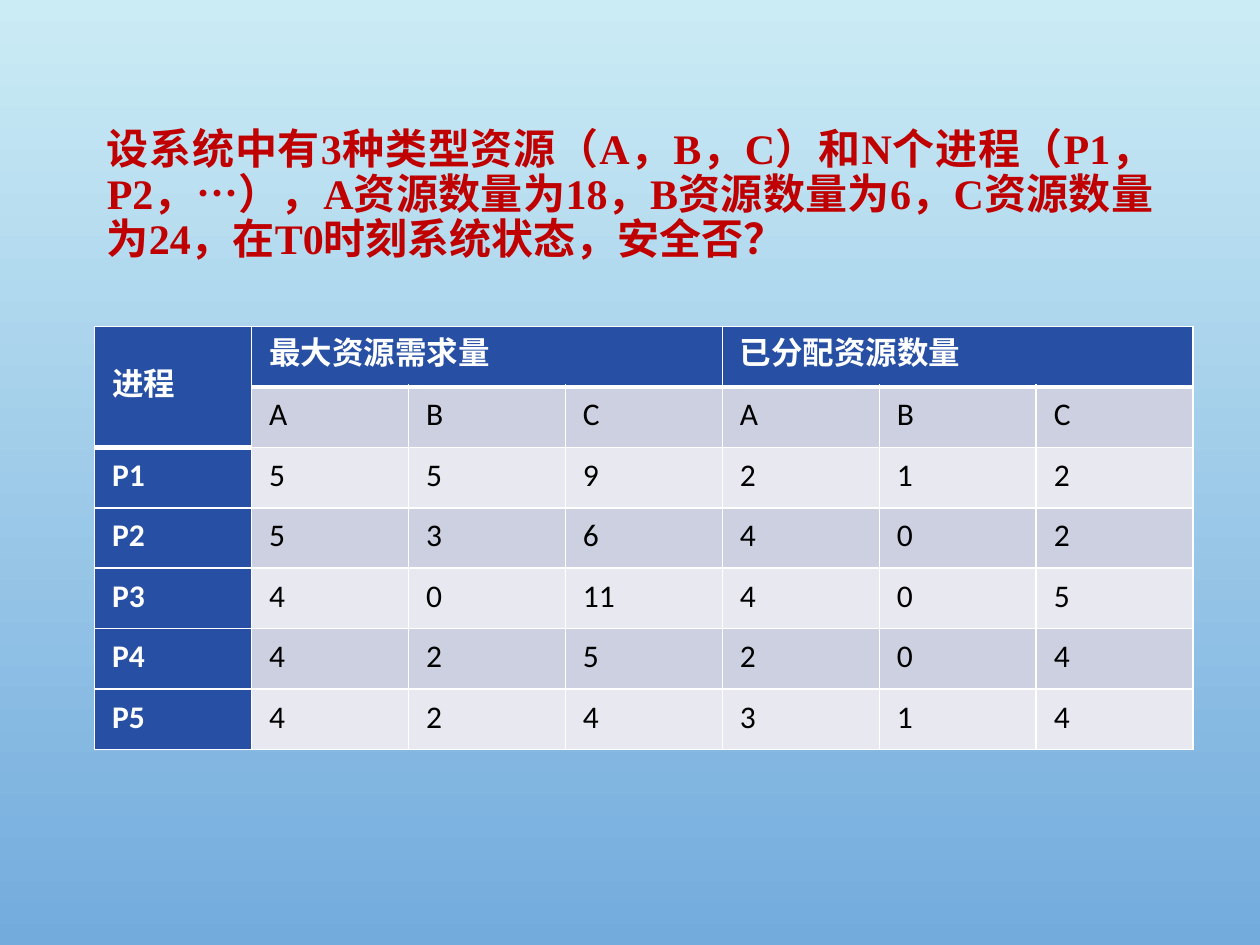
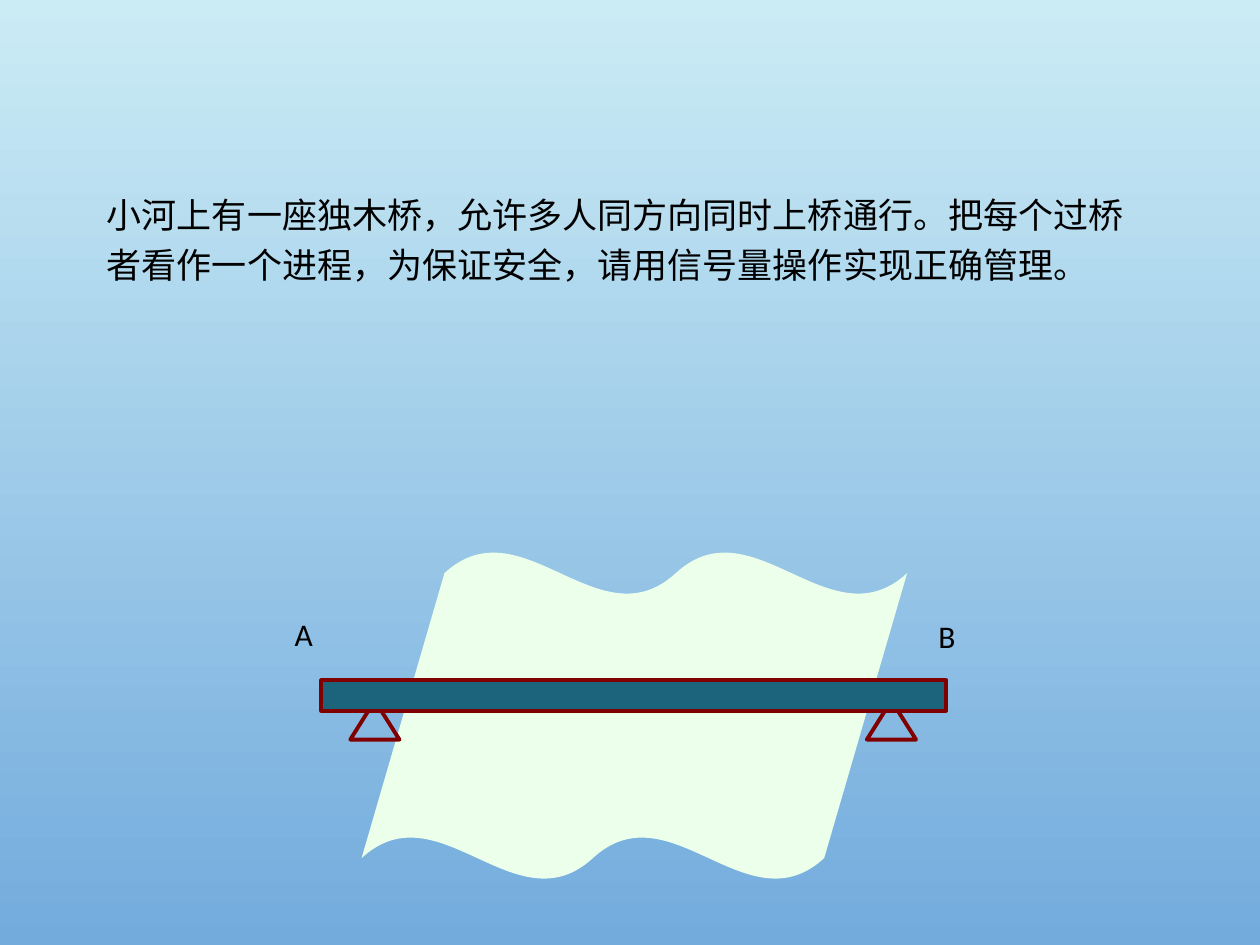
"""Build two slides on deadlock safety and a one-way bridge."""
from dataclasses import dataclass

import lxml.etree
import pptx
import pptx.dml.color
import pptx.enum.lang
import pptx.enum.shapes
import pptx.enum.text
import pptx.oxml.ns
import pptx.presentation
import pptx.slide
import pptx.table
import pptx.text.text
import pptx.util
from pptx.util import Inches

SKY, DEEP = "CBECF5", "73ABDD"
RED, BLACK, WHITE = "C00000", "000000", "FFFFFF"
BLUE, DARK, LIGHT = "274FA4", "CDD0E0", "E8E9F0"
WOOD, EDGE, WATER = "1C647B", "800000", "EBFFEB"
SANS, SERIF = "Calibri", "Times New Roman"
KIND = pptx.enum.shapes.MSO_SHAPE
ALIGN = pptx.enum.text.PP_ALIGN
ANCHOR = pptx.enum.text.MSO_ANCHOR
FIT = pptx.enum.text.MSO_AUTO_SIZE

TASK = ("设系统中有3种类型资源（A，B，C）和N个进程（P1，P2，…），A资源数量为18，"
        "B资源数量为6，C资源数量为24，在T0时刻系统状态，安全否？")
STORY = ("小河上有一座独木桥，允许多人同方向同时上桥通行。把每个过桥者看作一个进程，"
         "为保证安全，请用信号量操作实现正确管理。")
ROWS = [
    ["进程", "最大资源需求量", "", "", "已分配资源数量", "", ""],
    ["", *"ABCABC"],
    ["P1", "5", "5", "9", "2", "1", "2"],
    ["P2", "5", "3", "6", "4", "0", "2"],
    ["P3", "4", "0", "11", "4", "0", "5"],
    ["P4", "4", "2", "5", "2", "0", "4"],
    ["P5", "4", "2", "4", "3", "1", "4"],
]


@dataclass(frozen=True)
class Box:
    """Place and size in inches."""
    left: float
    top: float
    wide: float
    high: float

    def sides(self) -> list[int]:
        """Return the four lengths for a new shape."""
        return [Inches(n) for n in (self.left, self.top, self.wide, self.high)]


@dataclass(frozen=True)
class Style:
    """Look of a run of text."""
    size: float
    tint: str = BLACK
    bold: bool = False
    face: str = SANS


@dataclass(frozen=True)
class Part:
    """One shape of the bridge scene."""
    kind: KIND
    box: Box
    fill: str = ""
    line: str = ""
    bends: tuple[float, ...] = ()


@dataclass(frozen=True)
class Label:
    """A short mark at one bank."""
    text: str
    box: Box


PARTS = [
    Part(KIND.DOUBLE_WAVE, Box(2.87, 4.38, 4.33, 2.6), WATER, bends=(0.065, -0.076)),
    *(Part(KIND.ISOSCELES_TRIANGLE, Box(x, 5.56, 0.39, 0.31), line=EDGE) for x in (2.78, 6.88)),
    Part(KIND.RECTANGLE, Box(2.55, 5.4, 4.96, 0.24), WOOD, EDGE),
]
BANKS = [Label("A", Box(2.24, 4.83, 0.46, 0.57)), Label("B", Box(7.35, 4.85, 0.44, 0.57))]


def paint(code: str) -> pptx.dml.color.RGBColor:
    """Turn a hex string into a colour."""
    return pptx.dml.color.RGBColor.from_string(code)


def new_slide(deck: pptx.presentation.Presentation) -> pptx.slide.Slide:
    """Add a blank slide with the shared sky."""
    slide = deck.slides.add_slide(deck.slide_layouts[6])
    fill = slide.background.fill
    fill.gradient()
    fill.gradient_angle = 270
    for stop, code, spot in zip(fill.gradient_stops, (SKY, DEEP), (0, 1)):
        stop.color.rgb = paint(code)
        stop.position = spot
    return slide


def write(frame: pptx.text.text.TextFrame, text: str, style: Style) -> pptx.text.text._Paragraph:
    """Write one run and return its paragraph."""
    para = frame.paragraphs[0]
    run = para.add_run()
    run.text = text
    font = run.font
    font.size, font.bold, font.name = pptx.util.Pt(style.size), style.bold, style.face
    font.color.rgb = paint(style.tint)
    font.language_id = pptx.enum.lang.MSO_LANGUAGE_ID.SIMPLIFIED_CHINESE
    return para


def add_text(slide: pptx.slide.Slide, box: Box, text: str, style: Style, space: float) -> pptx.text.text.TextFrame:
    """Add a wrapped text box."""
    frame = slide.shapes.add_textbox(*box.sides()).text_frame
    frame.word_wrap = True
    write(frame, text, style).line_spacing = space
    return frame


def add_mark(slide: pptx.slide.Slide, label: Label) -> None:
    """Add the name of a bank."""
    frame = add_text(slide, label.box, label.text, Style(18), 1.0)
    frame.word_wrap = False
    frame.auto_size = FIT.SHAPE_TO_FIT_TEXT
    frame.margin_bottom = Inches(0.09)


def add_part(slide: pptx.slide.Slide, part: Part) -> None:
    """Draw one shape of the scene."""
    shape = slide.shapes.add_shape(part.kind, *part.box.sides())
    shape.shadow.inherit = False
    for spot, bend in enumerate(part.bends):
        shape.adjustments[spot] = bend
    for fill, code in ((shape.fill, part.fill), (shape.line.fill, part.line)):
        if code:
            fill.solid()
            fill.fore_color.rgb = paint(code)
        else:
            fill.background()
    if part.line:
        shape.line.width = pptx.util.Pt(2.25)


def rule(cell: pptx.table._Cell, side: str, width: float) -> None:
    """Draw a white border on one side of a cell."""
    name = pptx.oxml.ns.qn
    size = str(int(pptx.util.Pt(width)))
    line = lxml.etree.SubElement(cell._tc.get_or_add_tcPr(), name(f"a:ln{side}"), w=size)
    fill = lxml.etree.SubElement(line, name("a:solidFill"))
    lxml.etree.SubElement(fill, name("a:srgbClr"), val=WHITE)


def add_cell(cell: pptx.table._Cell, row: int, col: int, text: str) -> None:
    """Dress one cell by its place in the grid."""
    head = row == 0 or col == 0
    edge = 1 if col else 2
    for side, width in (("L", 1), ("R", 1), ("T", 3 if row == edge else 1),
                        ("B", 3 if row + cell.span_height == edge else 1)):
        rule(cell, side, width)
    cell.fill.solid()
    cell.fill.fore_color.rgb = paint(BLUE if head else DARK if row % 2 else LIGHT)
    cell.margin_left = cell.margin_right = Inches(0.14)
    cell.margin_top = cell.margin_bottom = 0
    cell.vertical_anchor = ANCHOR.MIDDLE
    if text:
        para = write(cell.text_frame, text, Style(18, WHITE if head else BLACK, head))
        para.line_spacing = pptx.util.Pt(19.8)


def add_grid(slide: pptx.slide.Slide, box: Box) -> None:
    """Add the table of needs and holdings."""
    grid = slide.shapes.add_table(len(ROWS), len(ROWS[0]), *box.sides()).table
    grid.first_row = grid.horz_banding = False
    for start, end in (((0, 0), (1, 0)), ((0, 1), (0, 3)), ((0, 4), (0, 6))):
        grid.cell(*start).merge(grid.cell(*end))
    for row, texts in enumerate(ROWS):
        for col, text in enumerate(texts):
            add_cell(grid.cell(row, col), row, col, text)


def add_state(deck: pptx.presentation.Presentation) -> None:
    """Build the slide on the system state."""
    slide = new_slide(deck)
    frame = add_text(slide, Box(0.75, 0.68, 8.5, 1.75), TASK, Style(24, RED, True, SERIF), 0.9)
    frame.vertical_anchor = ANCHOR.MIDDLE
    frame.paragraphs[0].alignment = ALIGN.JUSTIFY
    add_grid(slide, Box(0.75, 2.59, 8.72, 3.36))


def add_bridge(deck: pptx.presentation.Presentation) -> None:
    """Build the slide on the bridge."""
    slide = new_slide(deck)
    water, *frame = PARTS
    add_part(slide, water)
    add_text(slide, Box(0.75, 1.42, 8.5, 2.41), STORY, Style(20), 1.2)
    for label in BANKS:
        add_mark(slide, label)
    for part in frame:
        add_part(slide, part)


def main() -> None:
    """Build and save the deck."""
    deck = pptx.Presentation()
    deck.slide_width, deck.slide_height = Inches(10), Inches(7.5)
    add_state(deck)
    add_bridge(deck)
    deck.save("out.pptx")


if __name__ == "__main__":
    main()
